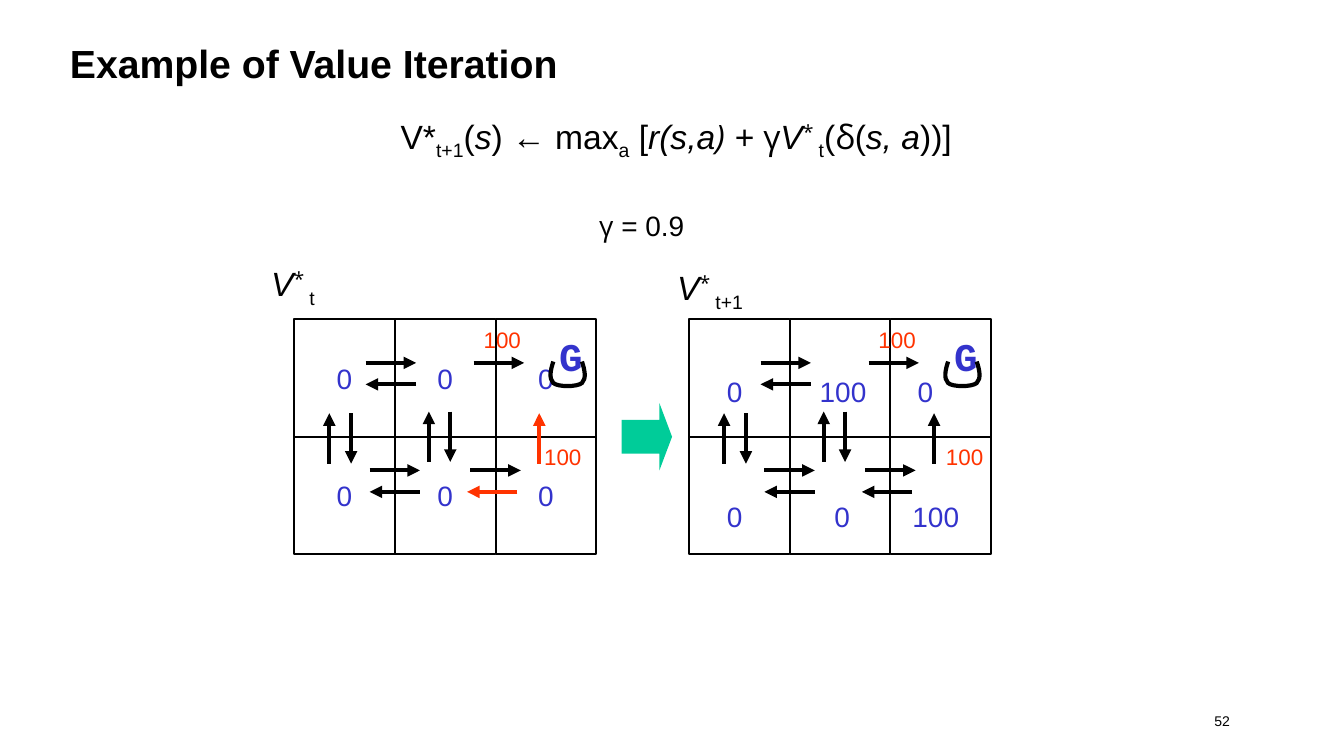
from dataclasses import dataclass

from lxml import etree
from pptx import Presentation
from pptx.dml.color import RGBColor
from pptx.enum.shapes import MSO_CONNECTOR, MSO_SHAPE
from pptx.enum.text import MSO_ANCHOR, MSO_AUTO_SIZE, PP_ALIGN
from pptx.oxml.ns import qn
from pptx.util import Inches, Pt

RECT, RIGHT_ARROW = MSO_SHAPE.RECTANGLE, MSO_SHAPE.RIGHT_ARROW
STRAIGHT = MSO_CONNECTOR.STRAIGHT
LEFT, CENTER, RIGHT = PP_ALIGN.LEFT, PP_ALIGN.CENTER, PP_ALIGN.RIGHT
TOP, MIDDLE = MSO_ANCHOR.TOP, MSO_ANCHOR.MIDDLE
GROW = MSO_AUTO_SIZE.SHAPE_TO_FIT_TEXT
TITLE_ONLY = 5


@dataclass(frozen=True)
class Theme:
    ink: RGBColor = RGBColor(0, 0, 0)
    value: RGBColor = RGBColor(0x33, 0x33, 0xCC)
    reward: RGBColor = RGBColor(0xFF, 0x33, 0x00)
    step: RGBColor = RGBColor(0x00, 0xCC, 0x99)
    font: str = "Arial"
    symbols: str = "Open Sans"
    mono: str = "Courier New"
    title: float = 21
    formula: float = 18
    number: float = 15
    small: float = 12
    footer: float = 7.5
    border: float = 1
    stroke: float = 2.25


class Deck:
    """Style and current slide; lengths are in an 80 x 45 grid."""
    COLS, ROWS = 80, 45

    def __init__(self, theme):
        self.t = theme
        self.prs = Presentation()
        self.prs.slide_width, self.prs.slide_height = Inches(10), Inches(5.625)
        self.s = self.prs.slides.add_slide(self.prs.slide_layouts[TITLE_ONLY])

    def xy(self, *lengths):
        """Turn alternating columns and rows into slide lengths."""
        units = (self.prs.slide_width / self.COLS, self.prs.slide_height / self.ROWS)
        return [round(n * units[i % 2]) for i, n in enumerate(lengths)]

    def fill_text(self, tf, runs, size, color=None, align=LEFT, anchor=TOP, **font):
        """Run marks: i italic, o symbol font, ^ raised, _ lowered."""
        tf.vertical_anchor = anchor
        p = tf.paragraphs[0]
        p.alignment = align
        for text, marks in [(runs, "")] if isinstance(runs, str) else runs:
            r = p.add_run()
            r.text = text
            style = {"size": Pt(size), "italic": "i" in marks, "bold": False,
                     "name": self.t.symbols if "o" in marks else self.t.font}
            for key, val in {**style, **font}.items():
                setattr(r.font, key, val)
            r.font.color.rgb = color or self.t.ink
            for mark, shift in (("^", "30000"), ("_", "-25000")):
                if mark in marks:
                    r._r.get_or_add_rPr().set("baseline", shift)
        return p

    def title(self, box, text):
        sp = self.s.shapes.title
        sp.left, sp.top, sp.width, sp.height = self.xy(*box)
        self.fill_text(sp.text_frame, text, self.t.title, anchor=MIDDLE, bold=True)

    def text(self, box, runs, size, color=None, wrap=False, **style):
        tf = self.s.shapes.add_textbox(*self.xy(*box)).text_frame
        tf.word_wrap = wrap
        if not wrap:
            tf.auto_size = GROW
        return self.fill_text(tf, runs, size, color, **style)

    def cell(self, box, text=""):
        sp = self.s.shapes.add_shape(RECT, *self.xy(*box))
        sp.shadow.inherit = False
        sp.fill.background()
        sp.line.color.rgb, sp.line.width = self.t.ink, Pt(self.t.border)
        if text:
            self.fill_text(sp.text_frame, text, self.t.number, self.t.value, CENTER, MIDDLE)

    def block_arrow(self, box):
        sp = self.s.shapes.add_shape(RIGHT_ARROW, *self.xy(*box))
        sp.shadow.inherit = False
        sp.adjustments[1] = 0.25
        sp.fill.solid()
        sp.fill.fore_color.rgb = self.t.step
        sp.line.fill.background()

    def arrow(self, ends, color):
        c = self.s.shapes.add_connector(STRAIGHT, *self.xy(*ends))
        c.line.color.rgb, c.line.width = color, Pt(self.t.stroke)
        sp_pr = c._element.spPr
        etree.SubElement(sp_pr.find(qn("a:ln")), qn("a:tailEnd"), type="triangle")
        etree.SubElement(sp_pr, qn("a:effectLst"))

    def curve(self, points):
        """Start point, then three points for each cubic segment."""
        pts = [tuple(self.xy(*pt)) for pt in points]
        fb = self.s.shapes.build_freeform(*pts[0])
        fb.add_line_segments(pts[1:], close=False)
        sp = fb.convert_to_shape()
        sp.shadow.inherit = False
        sp.fill.background()
        sp.line.color.rgb, sp.line.width = self.t.ink, Pt(self.t.stroke)
        # Join each three line segments into one cubic
        lines = list(sp._element.iter(qn("a:lnTo")))
        for i in range(0, len(lines), 3):
            cubic = etree.Element(qn("a:cubicBezTo"))
            lines[i].addprevious(cubic)
            for ln in lines[i:i + 3]:
                cubic.append(ln[0])
                ln.getparent().remove(ln)


# Geometry inside a state grid, measured from its top left corner
CELL_W, CELL_H, REACH = 6, 7, 3
GRID_TOP = 19
MOVES = {  # name: start column, start row, column step, row step
    "top left east": (4.27, 2.6, 1, 0), "top middle west": (7.27, 3.88, -1, 0),
    "into goal": (10.7, 2.6, 1, 0),
    "left north": (2.1, 8.6, 0, -1), "left south": (3.4, 5.6, 0, 1),
    "right north": (14.6, 8.6, 0, -1), "bottom right west": (13.3, 10.28, -1, 0),
    "middle north": (8.03, 8.5, 0, -1), "middle south": (9.3, 5.5, 0, 1),
    "bottom left east": (4.5, 9, 1, 0), "bottom middle west": (7.5, 10.28, -1, 0),
    "bottom middle east": (10.5, 9, 1, 0),
}
LOOP = [(15.44, 2.52), (15.28, 3), (15.16, 3.52), (15.44, 3.8), (15.72, 4.04),
        (16.84, 4.04), (17.14, 3.8), (17.42, 3.52), (17.3, 3), (17.14, 2.52)]


def state_grid(d, x, reward_x, marked=(), value=""):
    t, y = d.t, GRID_TOP
    for col in range(3):
        for row in range(2):
            d.cell((x + col * CELL_W, y + row * CELL_H, CELL_W, CELL_H), value)
    for name, (mx, my, dx, dy) in MOVES.items():
        start = x + mx, y + my
        end = start[0] + dx * REACH, start[1] + dy * REACH
        d.arrow(start + end, t.reward if name in marked else t.ink)
    # Goal with its self loop, and the rewards
    d.text((x + 15, y + 0.36, 3, 3.6), "G", t.title, t.value, name=t.mono, bold=True)
    d.curve([(x + px, y + py) for px, py in LOOP])
    for rx, ry in ((10.5, 0), (reward_x, CELL_H)):
        d.text((x + rx, y + ry, 3.84, 2.4), "100", t.small, t.reward)


def main():
    t = Theme()
    d = Deck(t)

    # Title, update rule and discount
    d.title((3.36, 0.96, 68, 5.52), "Example of Value Iteration")
    p = d.text((12.5, 6.5, 55.5, 15.5), [
        ("V*", ""), ("t+1", "_"), ("(", ""), ("s", "i"), (") ← max", ""), ("a", "_"),
        (" [", ""), ("r(s,a", "i"), (")", "io"), (" + ", "i"), ("γ", "o"), ("V", "i"),
        ("* ", "o^"), ("t", "_"), ("(", ""), ("δ", "o"), ("(", ""), ("s, a", "i"),
        ("))]", "")], t.formula, wrap=True, align=CENTER)
    hang = Inches(0.19)
    for key, val in {"marL": hang, "indent": -hang}.items():
        p._p.get_or_add_pPr().set(key, str(val))
    d.text((34.88, 12, 6.8, 2.8), [("γ", "o"), (" = 0.9", "")], t.number)

    # State grids before and after the update
    state_grid(d, 17.5, 14.1, ("right north", "bottom right west"), "0")
    state_grid(d, 41, 14.52)
    for box, step in (((15.36, 15.28, 4.32, 3.2), "t"), ((39.52, 15.52, 5.84, 3.2), "t+1")):
        d.text(box, [("V", "i"), ("* ", "o^"), (step, "_")], t.formula)
    d.block_arrow((37, 24, 3, 4))

    # Updated values
    for y, row in ((21.92, ((42.48, "0"), (48, "100"), (53.84, "0"))),
                   (29.36, ((42.48, "0"), (48.88, "0"), (53.52, "100")))):
        for x, value in row:
            width = 2.56 if value == "0" else 4.4
            d.text((x, y, width, 2.8), value, t.number, t.value)

    # Page number
    d.text((54.64, 42, 19.36, 2), "52", t.footer, wrap=True, align=RIGHT)
    d.prs.save("out.pptx")


if __name__ == "__main__":
    main()
